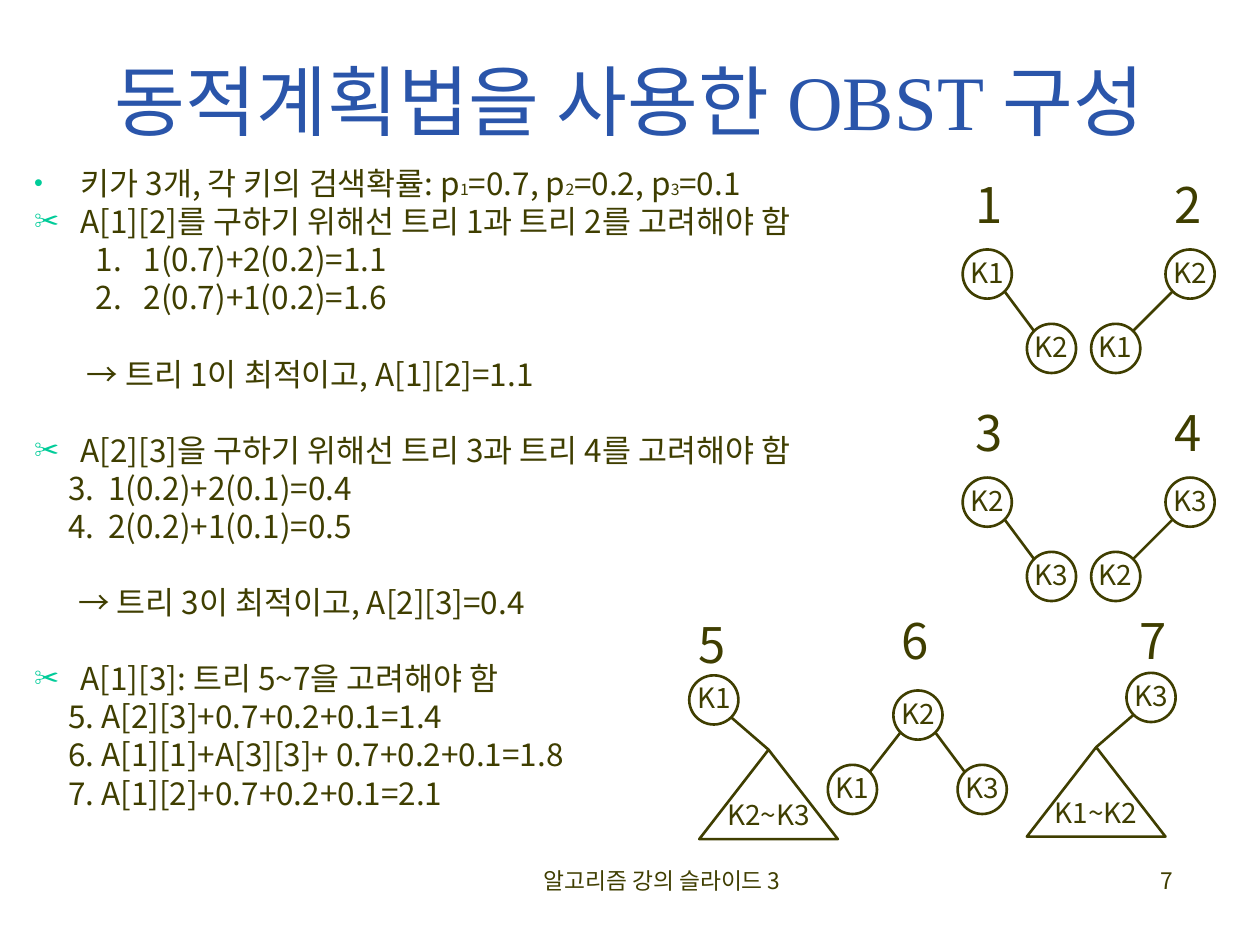
from dataclasses import dataclass
from typing import NamedTuple

import pptx
import pptx.util
from lxml import etree
from pptx.dml.color import RGBColor
from pptx.enum.shapes import MSO_CONNECTOR, MSO_SHAPE
from pptx.enum.text import MSO_ANCHOR, MSO_AUTO_SIZE, PP_ALIGN
from pptx.oxml.ns import qn
from pptx.util import Inches


@dataclass(frozen=True)
class Theme:
    ink: RGBColor = RGBColor(0x3F, 0x3E, 0x00)
    title: RGBColor = RGBColor(0x2A, 0x55, 0xAA)
    bullet: str = "00CC99"
    font: str = "Noto Sans CJK KR"
    title_font: str = "Times New Roman"
    arrow_font: str = "Arial"
    title_size: float = 44
    number_size: float = 28
    body_size: float = 18
    key_size: float = 16
    footer_size: float = 13
    sub_size: float = 9
    line: float = 1.5


class Style(NamedTuple):
    margin: float
    indent: float
    bullet: str = ""


class Line(NamedTuple):
    style: Style
    text: str
    gap: bool = False


class Child(NamedTuple):
    key: str
    dx: float
    subtree: bool = False


class Tree(NamedTuple):
    number: str
    number_x: float
    number_y: float
    root: str
    x: float
    y: float
    children: tuple[Child, ...]


THEME = Theme()
NODE = 0.39
DROP = 0.59
DIAGONAL = NODE / 2 * 0.71
SUBTREE_W, SUBTREE_H = 1.1, 0.71
LINE_GAP, BLOCK_GAP = 4.5, 26.2

DOT = Style(0.37, -0.37, "•")
SCISSORS = Style(0.37, -0.37, "✂")
STEP = Style(0.87, -0.38)
SHORT_STEP = Style(0.59, -0.32)
FIRST_RESULT = Style(0.42, 0)
SECOND_RESULT = Style(0.35, 0)
PLAIN = Style(0.27, 0)

LINES = [
    Line(SCISSORS, "A[1][2]를 구하기 위해선 트리 1과 트리 2를 고려해야 함"),
    Line(STEP, "1.\t1(0.7)+2(0.2)=1.1"),
    Line(STEP, "2.\t2(0.7)+1(0.2)=1.6"),
    Line(FIRST_RESULT, "→ 트리 1이 최적이고, A[1][2]=1.1", True),
    Line(SCISSORS, "A[2][3]을 구하기 위해선 트리 3과 트리 4를 고려해야 함", True),
    Line(SHORT_STEP, "3.\t1(0.2)+2(0.1)=0.4"),
    Line(SHORT_STEP, "4.\t2(0.2)+1(0.1)=0.5"),
    Line(SECOND_RESULT, "→ 트리 3이 최적이고, A[2][3]=0.4", True),
    Line(SCISSORS, "A[1][3]: 트리 5~7을 고려해야 함", True),
    Line(PLAIN, "5. A[2][3]+0.7+0.2+0.1=1.4"),
    Line(PLAIN, "6. A[1][1]+A[3][3]+ 0.7+0.2+0.1=1.8"),
    Line(PLAIN, "7. A[1][2]+0.7+0.2+0.1=2.1"),
]

TREES = [
    Tree("5", 5.44, 4.88, "K1", 5.47, 5.36, (Child("K2~K3", 0.08, True),)),
    Tree("6", 7.05, 4.85, "K2", 7.09, 5.48, (Child("K1", -0.52), Child("K3", 0.51))),
    Tree("7", 8.94, 4.85, "K3", 8.94, 5.34, (Child("K1~K2", -0.79, True),)),
]
for row, (low, high) in enumerate((("K1", "K2"), ("K2", "K3"))):
    top = 1.39 + 1.81 * row
    TREES += [
        Tree(str(2 * row + 1), 7.64, top, low, 7.64, top + DROP, (Child(high, 0.51),)),
        Tree(str(2 * row + 2), 9.22, top, high, 9.25, top + DROP, (Child(low, -0.59),)),
    ]


def add_run(p, text: str, size: float, font: str = THEME.font,
            color: RGBColor = THEME.ink) -> None:
    r = p.add_run()
    r.text = text
    r.font.size = pptx.util.Pt(size)
    r.font.name = font
    r.font.color.rgb = color


def place(sp, x: float, y: float, w: float, h: float) -> None:
    sp.left, sp.top, sp.width, sp.height = (Inches(v) for v in (x, y, w, h))


def format_paragraph(p, style: Style, gap: float) -> None:
    p.line_spacing = 0.8
    p.space_before = pptx.util.Pt(gap)
    ppr = p._p.get_or_add_pPr()
    ppr.set("marL", str(Inches(style.margin)))
    ppr.set("indent", str(Inches(style.indent)))
    if style.bullet:
        color = etree.SubElement(ppr, qn("a:buClr"))
        etree.SubElement(color, qn("a:srgbClr")).set("val", THEME.bullet)
        etree.SubElement(ppr, qn("a:buSzPct")).set("val", "80000")
        etree.SubElement(ppr, qn("a:buChar")).set("char", style.bullet)
    else:
        etree.SubElement(ppr, qn("a:buNone"))


def fill_body(tf) -> None:
    p = tf.paragraphs[0]
    format_paragraph(p, DOT, 0)
    add_run(p, "키가 3개, 각 키의 검색확률: p", THEME.body_size)
    for sub, text in (("1", "=0.7, p"), ("2", "=0.2, p"), ("3", "=0.1")):
        add_run(p, sub, THEME.sub_size)
        add_run(p, text, THEME.body_size)
    for line in LINES:
        p = tf.add_paragraph()
        format_paragraph(p, line.style, BLOCK_GAP if line.gap else LINE_GAP)
        text = line.text
        if text.startswith("→ "):
            add_run(p, "→ ", THEME.body_size, THEME.arrow_font)
            text = text.removeprefix("→ ")
        add_run(p, text, THEME.body_size)


def add_text(s, text: str, x: float, y: float, w: float, h: float,
             size: float, align: PP_ALIGN):
    tf = s.shapes.add_textbox(*(Inches(v) for v in (x, y, w, h))).text_frame
    tf.word_wrap = True
    p = tf.paragraphs[0]
    p.alignment = align
    add_run(p, text, size)
    return tf


def add_node(s, kind: MSO_SHAPE, key: str, x: float, y: float, w: float, h: float):
    sp = s.shapes.add_shape(kind, *(Inches(v) for v in (x, y, w, h)))
    sp.shadow.inherit = False
    sp.fill.background()
    sp.line.color.rgb = THEME.ink
    sp.line.width = pptx.util.Pt(THEME.line)
    tf = sp.text_frame
    tf.word_wrap = False
    tf.vertical_anchor = MSO_ANCHOR.MIDDLE
    p = tf.paragraphs[0]
    p.alignment = PP_ALIGN.CENTER
    p.line_spacing = 0.9
    add_run(p, key, THEME.key_size)
    return sp


def add_edge(s, x1: float, y1: float, x2: float, y2: float):
    edge = s.shapes.add_connector(
        MSO_CONNECTOR.STRAIGHT, *(Inches(v) for v in (x1, y1, x2, y2)))
    edge.line.color.rgb = THEME.ink
    edge.line.width = pptx.util.Pt(THEME.line)
    etree.SubElement(edge._element.spPr, qn("a:effectLst"))
    return edge


def add_tree(s, tree: Tree) -> None:
    tf = add_text(s, tree.number, tree.number_x, tree.number_y, 0.42, 0.52,
                  THEME.number_size, PP_ALIGN.CENTER)
    tf.word_wrap = False
    tf.auto_size = MSO_AUTO_SIZE.SHAPE_TO_FIT_TEXT
    tf.paragraphs[0].line_spacing = 0.9
    add_node(s, MSO_SHAPE.OVAL, tree.root, tree.x, tree.y, NODE, NODE)
    cx, cy = tree.x + NODE / 2, tree.y + NODE / 2
    for child in tree.children:
        kind, w, h = ((MSO_SHAPE.ISOSCELES_TRIANGLE, SUBTREE_W, SUBTREE_H)
                      if child.subtree else (MSO_SHAPE.OVAL, NODE, NODE))
        x, y = tree.x + child.dx, tree.y + DROP
        sp = add_node(s, kind, child.key, x, y, w, h)
        child_x = x + w / 2
        reach = DIAGONAL if child_x > cx else -DIAGONAL
        edge = add_edge(s, cx + reach, cy + DIAGONAL,
                        child_x - reach, y + NODE / 2 - DIAGONAL)
        if child.subtree:
            edge.end_connect(sp, 0)


def main() -> None:
    prs = pptx.Presentation()
    prs.slide_width, prs.slide_height = Inches(10), Inches(7.5)
    s = prs.slides.add_slide(prs.slide_layouts[1])
    title, body = s.shapes.title, s.placeholders[1]
    place(title, 0.27, 0.28, 9.45, 1.02)
    title.text_frame.auto_size = MSO_AUTO_SIZE.NONE
    add_run(title.text_frame.paragraphs[0], "동적계획법을 사용한 OBST 구성",
            THEME.title_size, THEME.title_font, THEME.title)
    place(body, 0.17, 1.31, 7.83, 5.28)
    body.text_frame.auto_size = MSO_AUTO_SIZE.NONE
    fill_body(body.text_frame)
    for tree in TREES:
        add_tree(s, tree)
    add_text(s, "알고리즘 강의 슬라이드 3", 3.67, 6.83, 3.17, 0.5,
             THEME.footer_size, PP_ALIGN.CENTER)
    add_text(s, "7", 7.33, 6.83, 2.08, 0.5, THEME.footer_size, PP_ALIGN.RIGHT)
    prs.save("out.pptx")


if __name__ == "__main__":
    main()
